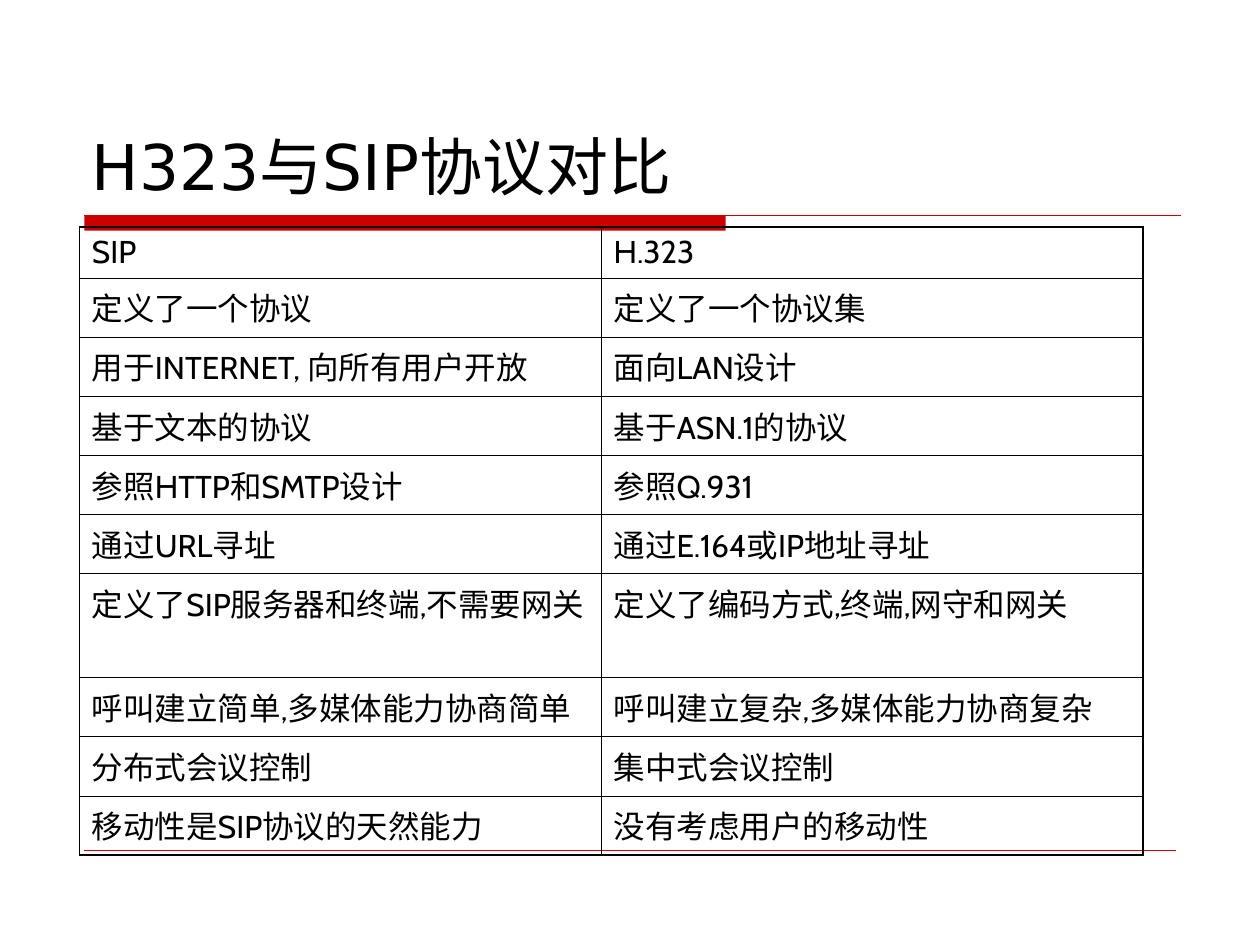
from lxml import etree
from pptx import Presentation
from pptx.dml.color import RGBColor
from pptx.enum import shapes, text
from pptx.oxml import ns
from pptx.util import Inches, Pt

# Content
TITLE = "H323与SIP协议对比"
ROWS = [
    ("SIP", "H.323"),
    ("定义了一个协议", "定义了一个协议集"),
    ("用于INTERNET, 向所有用户开放", "面向LAN设计"),
    ("基于文本的协议", "基于ASN.1的协议"),
    ("参照HTTP和SMTP设计", "参照Q.931"),
    ("通过URL寻址", "通过E.164或IP地址寻址"),
    ("定义了SIP服务器和终端,不需要网关", "定义了编码方式,终端,网守和网关"),
    ("呼叫建立简单,多媒体能力协商简单", "呼叫建立复杂,多媒体能力协商复杂"),
    ("分布式会议控制", "集中式会议控制"),
    ("移动性是SIP协议的天然能力", "没有考虑用户的移动性"),
]
COLS = [4.14, 4.3]
TALL = {0: 0.4, 6: 0.7}  # rows that differ from the usual height
ROW_H = 0.47

THEME = {
    "ink": "000000", "red": "CC0000",
    "head": ("DejaVu Sans", 36), "body": ("Cabin", 18),
    "outer": 1.08, "inner": 0.45,
}


def put(frame, words, style):
    """Write one run in the given type style."""
    para = frame.paragraphs[0]
    para.alignment = text.PP_ALIGN.LEFT
    run = para.add_run()
    run.text = words
    run.font.name, size = THEME[style]
    run.font.size = Pt(size)
    run.font.color.rgb = RGBColor.from_string(THEME["ink"])


def rule(slide, left, right, y, width):
    """Draw a level red line."""
    line = slide.shapes.add_connector(
        shapes.MSO_CONNECTOR.STRAIGHT,
        Inches(left), Inches(y), Inches(right), Inches(y))
    line.line.color.rgb = RGBColor.from_string(THEME["red"])
    line.line.width = Pt(width)
    etree.SubElement(line._element.spPr, ns.qn("a:effectLst"))


def edge(cell, side, width):
    """Add one border to a cell."""
    props = cell._tc.get_or_add_tcPr()
    line = etree.SubElement(props, ns.qn("a:ln" + side), w=str(Pt(width)))
    fill = etree.SubElement(line, ns.qn("a:solidFill"))
    etree.SubElement(fill, ns.qn("a:srgbClr"), val=THEME["ink"])


def build():
    deck = Presentation()
    deck.slide_width, deck.slide_height = Inches(10), Inches(7.5)
    slide = deck.slides.add_slide(deck.slide_layouts[5])

    # Title
    title = slide.shapes.title
    title.left, title.top = Inches(0.63), Inches(0.33)
    title.width, title.height = Inches(8.75), Inches(1.33)
    title.text_frame.vertical_anchor = text.MSO_ANCHOR.BOTTOM
    put(title.text_frame, TITLE, "head")

    # Red bar and rules
    bar = slide.shapes.add_shape(
        shapes.MSO_SHAPE.RECTANGLE,
        Inches(0.67), Inches(1.71), Inches(5.09), Inches(0.12))
    bar.shadow.inherit = False
    bar.fill.solid()
    bar.fill.fore_color.rgb = RGBColor.from_string(THEME["red"])
    bar.line.fill.background()
    rule(slide, 0.67, 9.37, 1.71, 0.75)
    rule(slide, 0.67, 9.33, 6.75, 0.25)

    # Comparison table
    highs = [TALL.get(i, ROW_H) for i in range(len(ROWS))]
    table = slide.shapes.add_table(
        len(ROWS), len(COLS), Inches(0.63), Inches(1.8),
        Inches(sum(COLS)), Inches(sum(highs))).table
    table.first_row = table.horz_banding = False
    for col, wide in zip(table.columns, COLS):
        col.width = Inches(wide)
    for r, (row, high) in enumerate(zip(table.rows, highs)):
        row.height = Inches(high)
        for c, cell in enumerate(row.cells):
            put(cell.text_frame, ROWS[r][c], "body")
            outer = {"L": c == 0, "R": c == len(COLS) - 1,
                     "T": r == 0, "B": r == len(ROWS) - 1}
            for side, out in outer.items():
                edge(cell, side, THEME["outer" if out else "inner"])
            cell.fill.background()

    deck.save("out.pptx")


if __name__ == "__main__":
    build()
